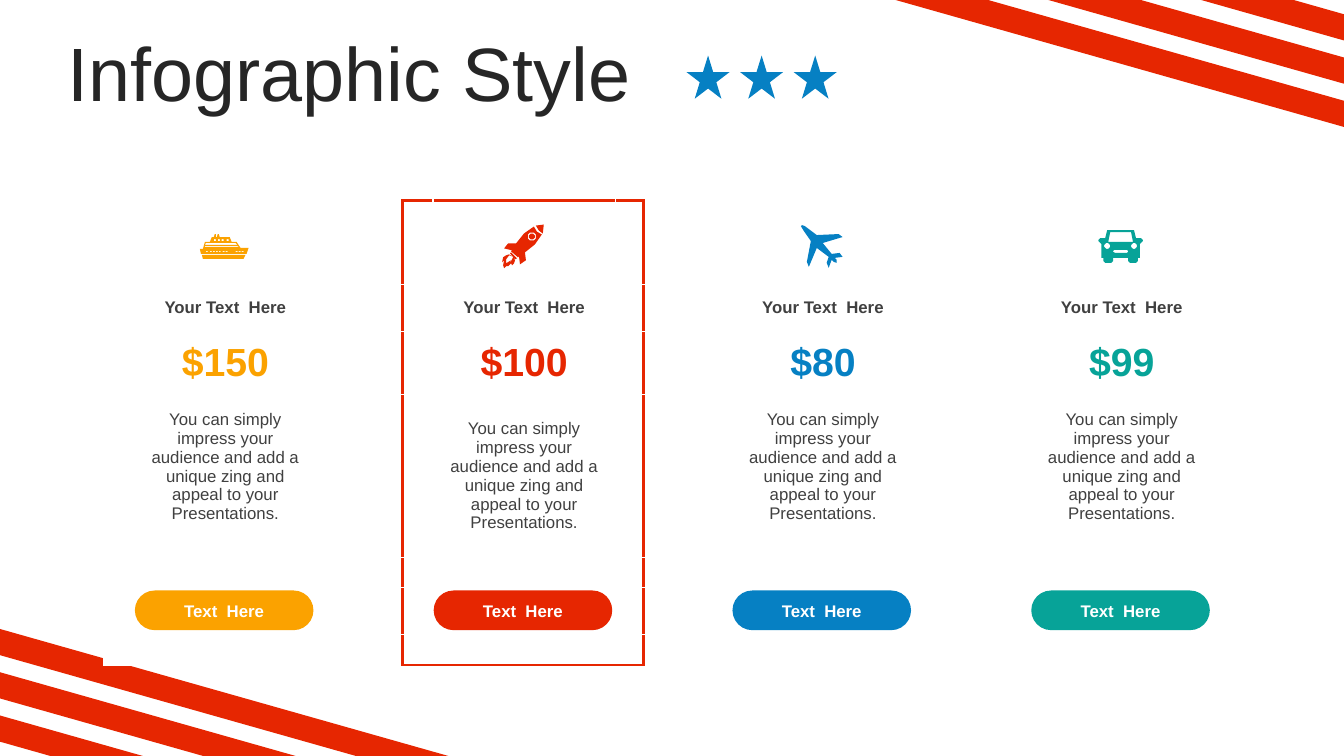
from lxml import etree
from pptx import Presentation
from pptx.dml.color import RGBColor
from pptx.enum.shapes import MSO_SHAPE
from pptx.enum.text import MSO_ANCHOR, PP_ALIGN
from pptx.oxml.ns import qn
from pptx.util import Cm, Pt

STAR, PILL = MSO_SHAPE.STAR_5_POINT, MSO_SHAPE.ROUNDED_RECTANGLE
MIDDLE = MSO_ANCHOR.MIDDLE
CENTER, LEFT = PP_ALIGN.CENTER, PP_ALIGN.LEFT
FONT = "Arial"
COLORS = {
    "orange": "FBA200", "red": "E62601", "blue": "0680C3", "teal": "07A398",
    "white": "FFFFFF", "title": "262626", "body": "404040",
}
SLIDE_W, SLIDE_H = 33.87, 19.05
ROWS = [2.11, 1.19, 1.6, 4.09, 0.76, 1.19, 0.76]
COLS = [0.76, 4.6, 0.71]
CARD_LEFT, CARD_TOP, CARD_PITCH = 2.62, 5.05, 7.53
DESCRIPTION = ("You can simply impress your audience and add a unique zing "
               "and appeal to your Presentations.")


def box(x, y, w, h):
    return [(x, y), (x + w, y), (x + w, y + h), (x, y + h)]


def octagon(cx, cy, far, near):
    return [(cx + far, cy + near), (cx + near, cy + far),
            (cx - near, cy + far), (cx - far, cy + near),
            (cx - far, cy - near), (cx - near, cy - far),
            (cx + near, cy - far), (cx + far, cy - near)]


SHIP = [
    [(18, 0), (19, 0), (20, 3), (30, 3), (32, 8), (37, 8), (41, 14), (49, 14),
     (47, 20), (1, 20), (0, 15), (3, 15), (5, 8), (10, 8), (12, 3), (14, 3),
     (15, 0), (16, 0), (16, 3), (17, 3)],
    [(2, 21), (46, 21), (44, 25), (3, 25)],
    [(5, 12), (5, 13), (40, 13), (38, 12)],
    [(6, 9), (5, 11), (38, 11), (36, 9)],
    *[box(x, 17, 2, 1) for x in (6, 10, 13, 16, 19, 23, 26, 36, 39, 42)],
    *[box(x, 5, 2, 2) for x in (14, 18, 22, 27)],
]
ROCKET = [
    [(32, 2), (35, 7), (40, 10), (33, 20), (23, 28), (24, 36), (18, 40),
     (17, 32), (16, 33), (9, 27), (10, 26), (2, 24), (6, 19), (14, 19), (22, 9)],
    [(42, 0), (41, 9), (37, 6), (34, 1)],
    octagon(30, 12, 4, 2),
    octagon(30, 12, 3, 1),
    [(9, 28), (15, 34), (13, 35), (8, 29)],
    [(10, 32), (7, 31), (4, 35), (4, 39), (9, 36), (7, 39), (9, 37), (11, 33),
     (13, 36), (12, 39), (10, 41), (9, 39), (6, 42), (4, 42), (2, 44), (1, 41),
     (2, 36), (0, 38), (1, 33), (4, 31), (7, 30)],
]
PLANE = [
    [(42, 32), (34, 33), (36, 35), (36, 38), (33, 37), (31, 35), (28, 43),
     (26, 38), (28, 32), (16, 23), (8, 42), (6, 37), (10, 16), (3, 6), (0, 1),
     (1, 0), (4, 1), (16, 10), (38, 9), (42, 12), (22, 18), (31, 29), (39, 28)],
]
CAR = [
    [(9, 0), (36, 0), (38, 8), (43, 8), (45, 10), (45, 11), (43, 13), (42, 14),
     (42, 28), (40, 28), (40, 31), (38, 33), (32, 33), (30, 31), (30, 28),
     (15, 28), (15, 31), (13, 33), (7, 33), (5, 31), (5, 28), (3, 28), (3, 14),
     (2, 13), (0, 11), (0, 10), (2, 8), (7, 8)],
    [(12, 2), (10, 12), (35, 12), (33, 2)],
    [(16, 20), (15, 21), (15, 22), (17, 23), (29, 23), (30, 22), (30, 21), (29, 20)],
    octagon(9, 16, 3, 1),
    octagon(36, 16, 3, 1),
]
CARDS = [("orange", "$150", SHIP), ("red", "$100", ROCKET),
         ("blue", "$80", PLANE), ("teal", "$99", CAR)]


def rgb(color):
    return RGBColor.from_string(COLORS[color])


def paint(sp, color):
    sp.shadow.inherit = False
    sp.fill.solid()
    sp.fill.fore_color.rgb = rgb(color)
    sp.line.fill.background()


def add_preset(s, kind, x, y, w, h, color):
    sp = s.shapes.add_shape(kind, Cm(x), Cm(y), Cm(w), Cm(h))
    paint(sp, color)
    return sp


def add_outline(s, contours, unit, color):
    first, *others = contours
    builder = s.shapes.build_freeform(*first[0], scale=unit)
    builder.add_line_segments(first[1:])
    for contour in others:
        builder.move_to(*contour[0])
        builder.add_line_segments(contour[1:])
    sp = builder.convert_to_shape()
    paint(sp, color)
    return sp


def write(tf, text, size, color, bold=False, align=CENTER):
    p = tf.paragraphs[0]
    p.text = text
    p.alignment = align
    p.font.name, p.font.size, p.font.bold = FONT, Pt(size), bold
    p.font.color.rgb = rgb(color)
    return p


def add_text(s, x, y, w, h, text, *style):
    tf = s.shapes.add_textbox(Cm(x), Cm(y), Cm(w), Cm(h)).text_frame
    tf.word_wrap = True
    tf.vertical_anchor = MIDDLE
    return write(tf, text, *style)


def add_stripes(s):
    w, h = round(SLIDE_W * 100), round(SLIDE_H * 100)
    bands = []
    for i in range(3):
        outer = 320 - 109 * i
        inner = outer - 66
        bands.append([(0, h - outer), (3.53 * outer, h),
                      (3.53 * inner, h), (0, h - inner)])
    add_outline(s, bands, Cm(0.01), "red")
    turned = [[(w - x, h - y) for x, y in band] for band in bands]
    add_outline(s, turned, Cm(0.01), "red")


def add_border(cell, side, color):
    ln = etree.SubElement(cell._tc.get_or_add_tcPr(), qn("a:ln" + side), w=str(Pt(2.25)))
    fill = etree.SubElement(ln, qn("a:solidFill"))
    etree.SubElement(fill, qn("a:srgbClr"), val=COLORS[color])


def add_card_table(s, x, color, price, framed):
    frame = s.shapes.add_table(len(ROWS), len(COLS), Cm(x), Cm(CARD_TOP),
                               Cm(sum(COLS)), Cm(sum(ROWS)))
    table = frame.table
    table.first_row = table.horz_banding = False
    for column, width in zip(table.columns, COLS):
        column.width = Cm(width)
    for row, height in zip(table.rows, ROWS):
        row.height = Cm(height)
    for r in range(len(ROWS)):
        for c in range(len(COLS)):
            cell = table.cell(r, c)
            edges = {"L": c == 0, "R": c == len(COLS) - 1,
                     "T": r == 0, "B": r == len(ROWS) - 1}
            for side, outside in edges.items():
                if framed and outside:
                    add_border(cell, side, color)
            cell.fill.solid()
            cell.fill.fore_color.rgb = rgb("white")
            cell.margin_top = cell.margin_bottom = Cm(0)
            cell.vertical_anchor = MIDDLE
    write(table.cell(1, 1).text_frame, "Your Text  Here", 12, "body", True)
    write(table.cell(2, 1).text_frame, price, 28, color, True)
    write(table.cell(3, 1).text_frame, DESCRIPTION, 12, "body")
    if not framed:
        table.cell(3, 1).margin_bottom = Cm(0.46)


def add_button(s, x, color):
    pill = add_preset(s, PILL, x + 0.78, 14.88, 4.5, 1, color)
    pill.adjustments[0] = 0.5
    add_text(s, x + 1.61, 15.01, 2.84, 0.76, "Text  Here", 12, "white", True)


def add_icon(s, x, contours, color):
    sp = add_outline(s, contours, Cm(0.025), color)
    sp.left = Cm(x + 3.03) - sp.width // 2
    sp.top = Cm(6.21) - sp.height // 2


def main():
    prs = Presentation()
    prs.slide_width, prs.slide_height = Cm(SLIDE_W), Cm(SLIDE_H)
    s = prs.slides.add_slide(prs.slide_layouts[6])
    add_stripes(s)
    title = add_text(s, 1.45, 0.94, 30.68, 2, "Infographic Style", 54, "title", False, LEFT)
    title.line_spacing = 0.9
    for i in range(3):
        add_preset(s, STAR, 17.3 + 1.35 * i, 1.4, 1.09, 1.09, "blue")
    for i, (color, price, icon) in enumerate(CARDS):
        x = CARD_LEFT + CARD_PITCH * i
        add_card_table(s, x, color, price, color == "red")
        add_button(s, x, color)
        add_icon(s, x, icon, color)
    prs.save("out.pptx")


if __name__ == "__main__":
    main()
